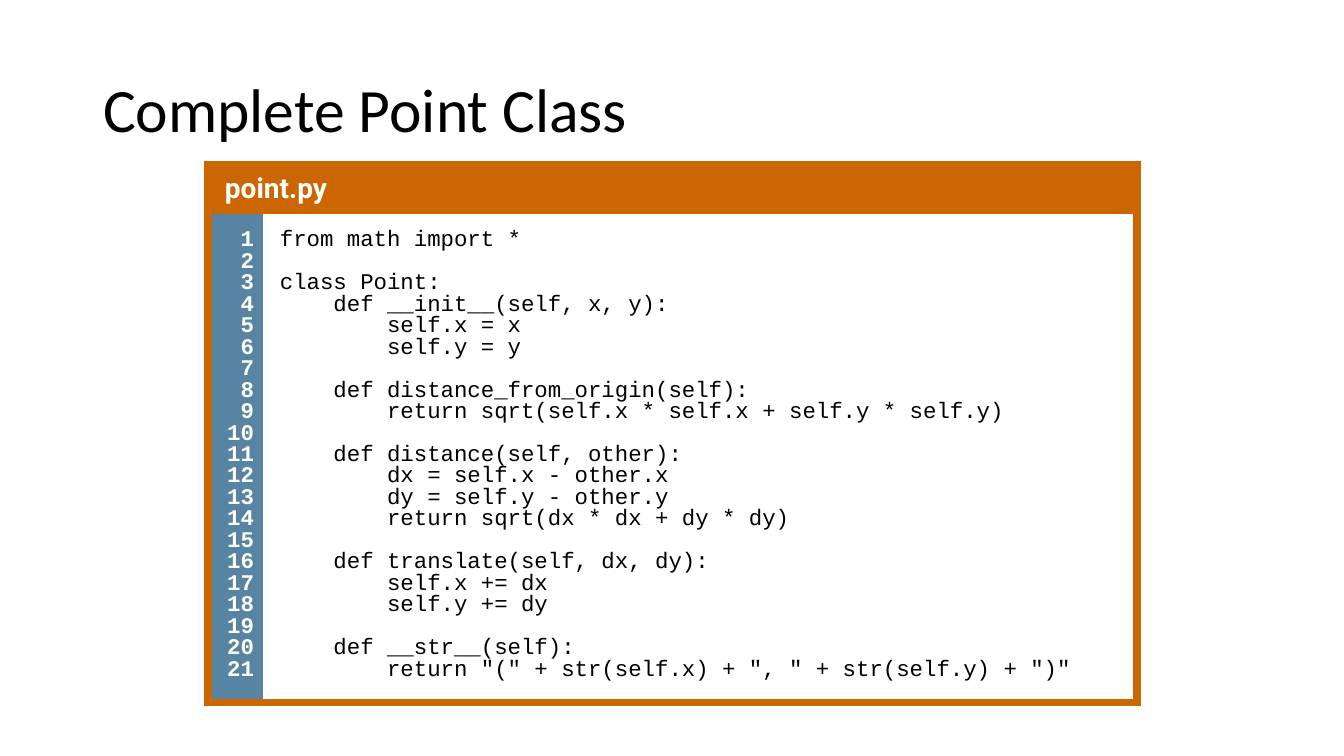
from lxml.etree import SubElement as Sub
from pptx import Presentation
from pptx.dml.color import RGBColor as RGB
from pptx.enum.text import MSO_ANCHOR as Anchor, PP_ALIGN as Align
from pptx.oxml.ns import qn
from pptx.util import Pt

TITLE = "Complete Point Class"
FILE = "point.py"
CODE = '''from math import *

class Point:
    def __init__(self, x, y):
        self.x = x
        self.y = y

    def distance_from_origin(self):
        return sqrt(self.x * self.x + self.y * self.y)

    def distance(self, other):
        dx = self.x - other.x
        dy = self.y - other.y
        return sqrt(dx * dx + dy * dy)

    def translate(self, dx, dy):
        self.x += dx
        self.y += dy

    def __str__(self):
        return "(" + str(self.x) + ", " + str(self.y) + ")"'''.split("\n")
NUMBERS = [str(n + 1) for n in range(len(CODE))]

ORANGE, BLUE, WHITE, BLACK = "CC6600", "5784A3", "FFFFFF", "000000"
MONO = "Courier New"
COLS, ROWS = (55, 874), (45, 491)
GAP, PITCH = 3.2, 15.34  # points between lines, and from line to line


def px(n):
    return round(n * 914400 / 100.8)


def color(code):
    return RGB.from_string(code)


def style(para, face, size, ink, bold=False):
    font = para.font
    font.name, font.size, font.bold = face, Pt(size), bold
    font.color.rgb = color(ink)


def dress(cell, fill, sides, pads):
    """Set borders on the given sides, then the fill and the margins."""
    props = cell._tc.get_or_add_tcPr()
    for side in "LRTB":
        line = Sub(props, qn("a:ln" + side), w=str(Pt(6)))
        if side in sides:
            solid = Sub(line, qn("a:solidFill"))
            Sub(solid, qn("a:srgbClr"), val=ORANGE)
        else:
            Sub(line, qn("a:noFill"))
    cell.fill.solid()
    cell.fill.fore_color.rgb = color(fill)
    (cell.margin_left, cell.margin_top,
     cell.margin_right, cell.margin_bottom) = map(px, pads)


def write(cell, lines, spacing, align, *look):
    """Write one paragraph per line; an empty line widens the next gap."""
    frame, gap = cell.text_frame, 0
    para = frame.paragraphs[0]
    for text in lines:
        if not text:
            gap += PITCH
            continue
        if para.text:
            para = frame.add_paragraph()
        para.text = text
        para.alignment, para.line_spacing = align, spacing
        para.space_before = Pt(gap)
        props = para._p.get_or_add_pPr()
        props.set("marL", str(px(12)))
        props.set("indent", "0")
        style(para, *look)
        gap = GAP


def main():
    deck = Presentation()
    deck.slide_width, deck.slide_height = px(1344), px(756)
    slide = deck.slides.add_slide(deck.slide_layouts[5])

    title = slide.shapes.title
    title.left, title.top, title.width, title.height = map(
        px, (93, 40, 1159, 146))
    title.text_frame.text = TITLE
    title.text_frame.vertical_anchor = Anchor.MIDDLE
    para = title.text_frame.paragraphs[0]
    para.alignment, para.line_spacing = Align.LEFT, 0.9
    style(para, "Calibri", 44, BLACK)

    table = slide.shapes.add_table(
        2, 2, px(208), px(165), px(sum(COLS)), px(sum(ROWS))).table
    table.first_row = table.horz_banding = False
    for col, width in zip(table.columns, COLS):
        col.width = px(width)
    for row, height in zip(table.rows, ROWS):
        row.height = px(height)

    head, tail = table.cell(0, 0), table.cell(0, 1)
    head.merge(tail)
    for cell in (head, tail):
        dress(cell, ORANGE, "LRTB", (5, 5, 5, 5))
    write(head, [FILE], 1.07, Align.LEFT, "Roboto", 20, WHITE, True)

    count, body = table.cell(1, 0), table.cell(1, 1)
    dress(count, BLUE, "LTB", (5, 23, 9, 23))
    write(count, NUMBERS, 0.67, Align.RIGHT, MONO, 16, WHITE, True)
    dress(body, WHITE, "RTB", (5, 23, 18, 23))
    write(body, CODE, 0.67, Align.LEFT, MONO, 16, BLACK)

    deck.save("out.pptx")


if __name__ == "__main__":
    main()
